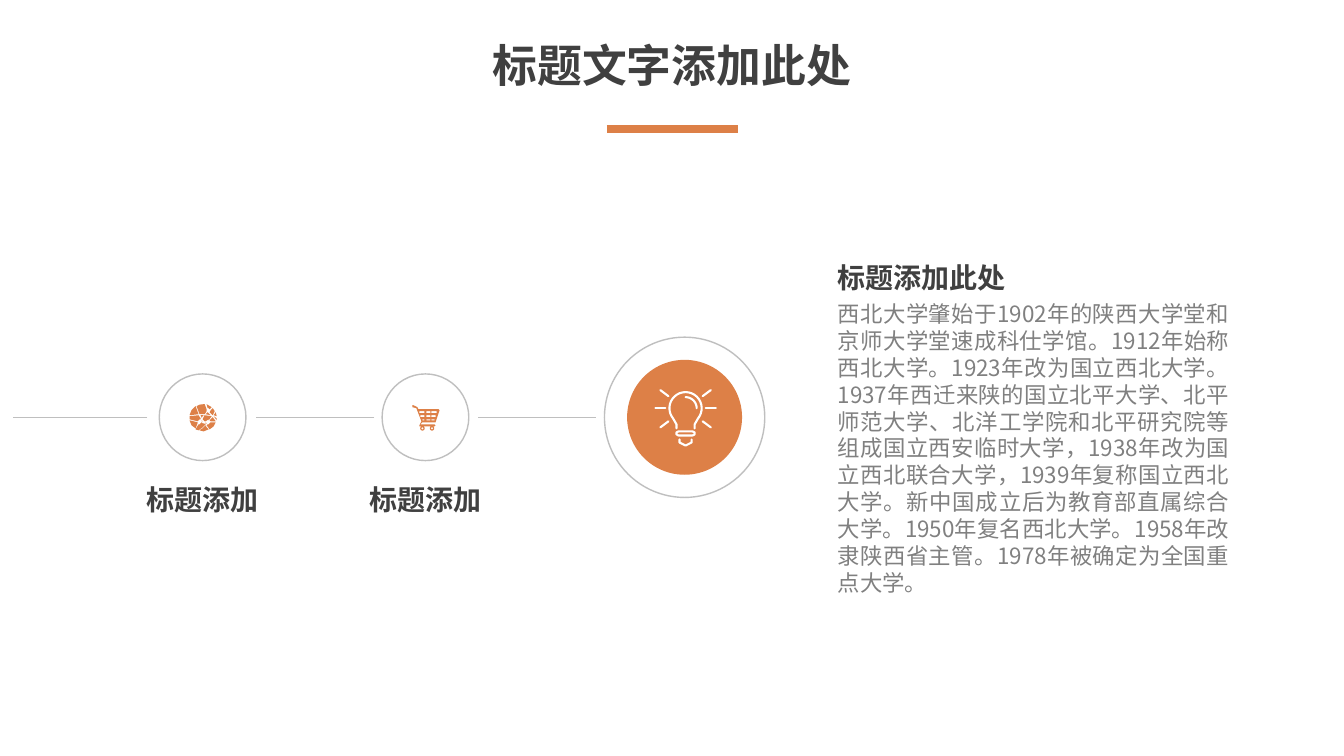
from math import cos, radians, sin

from lxml.etree import SubElement
from pptx import Presentation
from pptx.dml.color import RGBColor
from pptx.enum.shapes import MSO_CONNECTOR, MSO_SHAPE
from pptx.enum.text import MSO_ANCHOR, MSO_AUTO_SIZE, PP_ALIGN
from pptx.oxml.ns import qn
from pptx.util import Inches, Pt

FONT = "Noto Sans CJK SC"
DARK = RGBColor(0x40, 0x40, 0x40)
GRAY = RGBColor(0x80, 0x80, 0x80)
PALE = RGBColor(0xBF, 0xBF, 0xBF)
ORANGE = RGBColor(0xDD, 0x80, 0x47)
WHITE = RGBColor(0xFF, 0xFF, 0xFF)

TITLE = "标题文字添加此处"
HEAD = "标题添加此处"
BODY = (
    "西北大学肇始于1902年的陕西大学堂和京师大学堂速成科仕学馆。"
    "1912年始称西北大学。1923年改为国立西北大学。"
    "1937年西迁来陕的国立北平大学、北平师范大学、北洋工学院和北平研究院等组成国立西安临时大学，"
    "1938年改为国立西北联合大学，1939年复称国立西北大学。"
    "新中国成立后为教育部直属综合大学。1950年复名西北大学。"
    "1958年改隶陕西省主管。1978年被确定为全国重点大学。"
)
STEPS = [("标题添加", 2.01), ("标题添加", 4.22)]
AXIS = 4.14
BULB = 6.79
LINKS = [(1.46, 0.13), (3.71, 2.54), (5.91, 4.74)]

GLOBE = [
    [(16, 21), (17, 23), (19, 25), (14, 27), (10, 26), (13, 24)],
    [(16, 18), (17, 19), (16, 20)],
    [(12, 18), (13, 19), (14, 19), (16, 20), (13, 23), (9, 26), (6, 25), (9, 20), (10, 20)],
    [(26, 18), (24, 22), (20, 25), (17, 21), (18, 20), (19, 20), (21, 18)],
    [(0, 16), (8, 18), (8, 19), (6, 24), (2, 21)],
    [(12, 16), (13, 17), (12, 17)],
    [(23, 13), (26, 17), (21, 17), (20, 16)],
    [(24, 12), (27, 14), (27, 16)],
    [(9, 11), (11, 14), (11, 15), (10, 15), (8, 17), (0, 15), (0, 12)],
    [(15, 11), (22, 12), (19, 16), (19, 15), (16, 17), (15, 17), (13, 15), (14, 13)],
    [(14, 11), (13, 12), (12, 14), (12, 13), (11, 11)],
    [(18, 8), (19, 9), (20, 10), (21, 11), (16, 10)],
    [(26, 8), (27, 12), (24, 11)],
    [(23, 4), (25, 7), (23, 11), (21, 9), (20, 8), (21, 6)],
    [(6, 2), (9, 10), (0, 11), (2, 6)],
    [(17, 0), (22, 3), (20, 5), (19, 4), (18, 4)],
    [(14, 0), (15, 0), (17, 5), (17, 7), (15, 10), (10, 10), (7, 2), (10, 0.5)],
]
FRAME = [
    (1, 0), (5, 2), (6, 4), (26, 4), (27, 5), (23, 17), (10, 17), (8, 19),
    (22, 19), (23, 20), (22, 21), (7, 21), (7, 20), (9, 16), (4, 3), (0, 2), (0, 0),
]
ROWS = [(6, 8, 7, 24), (10, 12, 8, 23), (14, 15, 10, 22)]
RAYS = [(20, 0, 30, 0), (17, 13, 25, 19), (17, -12, 25, -18)]
BASE = [(-7, 23), (7, 23), (9, 24), (9, 26), (7, 27), (-7, 27), (-9, 26), (-9, 24), (-7, 23)]
TIP = [(-6, 31), (-6, 34), (0, 37), (6, 34), (6, 31)]


def arc(x, y, size, start, stop):
    """Return points along an arc, with angles in degrees."""
    turns = [radians(start + (stop - start) * n / 24) for n in range(25)]
    return [(x + size * cos(t), y + size * sin(t)) for t in turns]


def cart():
    """Return the outlines of the cart icon."""
    paths = [FRAME]
    for top, low, left, right in ROWS:
        for a, b in ((left, 12), (14, 18), (19, right)):
            paths.append([(a, top), (b, top), (b, low), (a, low)])
    for x in (10, 19.5):
        paths += [arc(x, 23, size, 0, 360) for size in (2.2, 1)]
    return paths


def bulb():
    """Return the strokes of the bulb icon around the centre of its glass."""
    glass = [(-9, 20), (-9, 16)] + arc(0, 0, 16, 140, 400) + [(9, 16), (9, 20)]
    paths = [glass, arc(0, 0, 11, -90, 0), BASE, TIP]
    for a, b, c, d in RAYS:
        paths += [[(side * a, b), (side * c, d)] for side in (-1, 1)]
    return paths


def draw(shapes, paths, left, top, closed):
    """Draw paths given in hundredths of an inch as one shape."""
    paths = [[(Inches(x / 100), Inches(y / 100)) for x, y in path] for path in paths]
    pen = shapes.build_freeform(*paths[0][0], scale=1.0)
    for n, path in enumerate(paths):
        if n:
            pen.move_to(*path[0])
        pen.add_line_segments(path[1:], close=closed)
    icon = pen.convert_to_shape(Inches(left), Inches(top))
    icon.shadow.inherit = False
    if closed:
        icon.fill.solid()
        icon.fill.fore_color.rgb = ORANGE
        icon.line.fill.background()
    else:
        icon.fill.background()
        icon.line.color.rgb = WHITE
        icon.line.width = Pt(1.5)
        icon.element.spPr.find(qn("a:ln")).set("cap", "rnd")


def disc(shapes, x, size, color=None):
    """Draw a filled disc, or a pale ring, centred on the axis."""
    oval = shapes.add_shape(MSO_SHAPE.OVAL, Inches(x - size / 2), Inches(AXIS - size / 2),
                            Inches(size), Inches(size))
    oval.shadow.inherit = False
    if color:
        oval.fill.solid()
        oval.fill.fore_color.rgb = color
        oval.line.fill.background()
    else:
        oval.fill.background()
        oval.line.color.rgb = PALE
        oval.line.width = Pt(1)


def rule(shapes, start, stop, y, color, width):
    """Draw a level line."""
    line = shapes.add_connector(MSO_CONNECTOR.STRAIGHT, Inches(start), Inches(y),
                                Inches(stop), Inches(y))
    line.line.color.rgb = color
    line.line.width = Pt(width)
    SubElement(line.element.spPr, qn("a:effectLst"))


def write(box, text, place, size, align=PP_ALIGN.CENTER, color=DARK, bold=True, wrap=False, lead=1.25):
    """Place a box and set its text."""
    box.left, box.top, box.width, box.height = [Inches(n) for n in place]
    frame = box.text_frame
    frame.word_wrap = wrap
    frame.auto_size = MSO_AUTO_SIZE.NONE
    frame.vertical_anchor = MSO_ANCHOR.TOP
    para = frame.paragraphs[0]
    para.alignment = align
    para.line_spacing = Pt(size * lead)
    run = para.add_run()
    run.text = text
    font = run.font
    font.size, font.bold, font.name = Pt(size), bold, FONT
    font.color.rgb = color
    SubElement(run._r.get_or_add_rPr(), qn("a:ea")).set("typeface", FONT)


def main():
    """Build the slide and save it."""
    deck = Presentation()
    deck.slide_width, deck.slide_height = Inches(13.33), Inches(7.5)
    slide = deck.slides.add_slide(deck.slide_layouts[5])
    shapes = slide.shapes

    def label():
        """Add an empty text box."""
        return shapes.add_textbox(0, 0, 0, 0)

    write(shapes.title, TITLE, (4.77, 0.3, 3.79, 0.64), 32)
    rule(shapes, 6.02, 7.32, 1.28, ORANGE, 6)
    write(label(), HEAD, (8.21, 2.52, 1.88, 0.44), 20, PP_ALIGN.LEFT)
    write(label(), BODY, (8.21, 2.93, 4.08, 3.06), 16, PP_ALIGN.JUSTIFY, GRAY, False, True, 1.2)

    for start, stop in LINKS:
        rule(shapes, start, stop, AXIS, PALE, 1)
    for text, x in STEPS:
        disc(shapes, x, 0.86)
        write(label(), text, (x - 0.66, 4.72, 1.32, 0.44), 20)
    disc(shapes, BULB, 1.14, ORANGE)
    disc(shapes, BULB, 1.59)

    draw(shapes, GLOBE, 1.88, 4.01, True)
    draw(shapes, cart(), 4.09, 4.02, True)
    draw(shapes, bulb(), 6.8, 4.05, False)
    deck.save("out.pptx")


if __name__ == "__main__":
    main()
